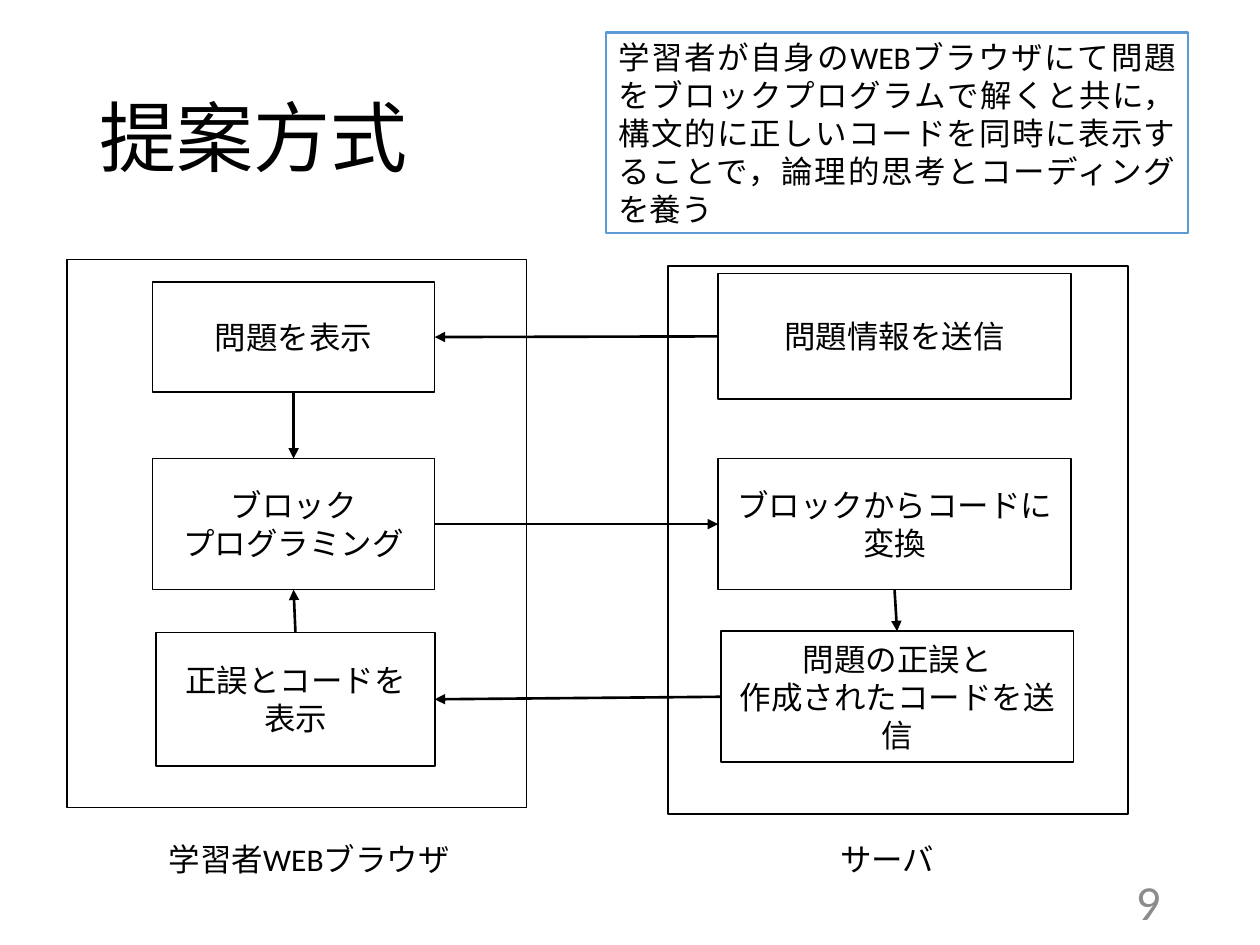
from lxml import etree
from pptx import Presentation
from pptx.dml.color import RGBColor
from pptx.enum import shapes, text
from pptx.oxml import ns
from pptx.util import Inches, Pt

COLORS = {"ink": "000000", "paper": "FFFFFF", "accent": "5B9BD5", "muted": "8C8C8C"}
TOP, LEFT, BOTTOM, RIGHT = range(4)
ALIGN = text.PP_ALIGN
ANCHOR = text.MSO_ANCHOR


def color(name):
    return RGBColor.from_string(COLORS[name])


def write(holder, lines, size=18, ink="ink", align=ALIGN.LEFT, spacing=1.0, **frame_format):
    frame = holder.text_frame
    for name, value in {"word_wrap": True, **frame_format}.items():
        setattr(frame, name, value)
    for index, line in enumerate(lines):
        paragraph = frame.add_paragraph() if index else frame.paragraphs[0]
        for name, value in {"alignment": align, "line_spacing": spacing}.items():
            setattr(paragraph, name, value)
        run = paragraph.add_run()
        for name, value in {"name": "Calibri", "size": Pt(size)}.items():
            setattr(run.font, name, value)
        run.text = line
        run.font.color.rgb = color(ink)


def add_label(slide, box, lines, **style):
    label = slide.shapes.add_textbox(*map(Inches, box))
    write(label, lines, **style)


def add_box(slide, box, lines=(), outline="ink", width=1, align=ALIGN.CENTER):
    frame = slide.shapes.add_shape(shapes.MSO_SHAPE.RECTANGLE, *map(Inches, box))
    frame.shadow.inherit = False
    frame.fill.solid()
    frame.fill.fore_color.rgb = color("paper")
    frame.line.color.rgb = color(outline)
    frame.line.width = Pt(width)
    write(frame, lines, align=align, vertical_anchor=ANCHOR.MIDDLE)
    return frame


def add_arrow(slide, source, source_side, target, target_side):
    arrow = slide.shapes.add_connector(shapes.MSO_CONNECTOR.STRAIGHT, 0, 0, 0, 0)
    arrow.begin_connect(source, source_side)
    arrow.end_connect(target, target_side)
    arrow.line.color.rgb = color("ink")
    arrow.line.width = Pt(1.5)
    etree.SubElement(arrow.line._get_or_add_ln(), ns.qn("a:tailEnd"), type="triangle")
    etree.SubElement(arrow._element.spPr, ns.qn("a:effectLst"))


def add_header(slide, box):
    left, top, width, height = box
    add_label(slide, box, ["提案方式"], size=44, spacing=0.9, vertical_anchor=ANCHOR.MIDDLE)
    summary = (
        "学習者が自身のWEBブラウザにて問題をブロックプログラムで解くと共に，"
        "構文的に正しいコードを同時に表示することで，論理的思考とコーディングを養う"
    )
    add_box(slide, (left + 4.12, top - 0.14, 4.62, 1.59), [summary],
            outline="accent", width=1.5, align=ALIGN.JUSTIFY)


def add_panel(slide, box, caption, caption_box, steps):
    left, top, width, height = box
    add_box(slide, box)
    dx, dy, caption_width = caption_box
    add_label(slide, (left + dx, top + dy, caption_width, 0.4), [caption])
    return [add_box(slide, (left + x, top + y, w, h), lines)
            for x, y, w, h, lines in steps]


def add_flow(slide, box):
    left, top, width, height = box
    show, program, result = add_panel(
        slide, (left, top, 3.65, height), "学習者WEBブラウザ", (0.71, 4.56, 2.62),
        [(0.68, 0.18, 2.24, 0.87, ["問題を表示"]),
         (0.68, 1.58, 2.24, 1.04, ["ブロック", "プログラミング"]),
         (0.71, 2.96, 2.21, 1.06, ["正誤とコードを", "表示"])])
    send, convert, reply = add_panel(
        slide, (left + width - 3.65, top + 0.05, 3.65, height), "サーバ", (1.27, 4.51, 1.05),
        [(0.4, 0.06, 2.8, 1, ["問題情報を送信"]),
         (0.4, 1.53, 2.8, 1.04, ["ブロックからコードに", "変換"]),
         (0.42, 2.9, 2.8, 1.04, ["問題の正誤と", "作成されたコードを送信"])])
    for link in [
        (send, LEFT, show, RIGHT),
        (show, BOTTOM, program, TOP),
        (program, RIGHT, convert, LEFT),
        (convert, BOTTOM, reply, TOP),
        (reply, LEFT, result, RIGHT),
        (result, TOP, program, BOTTOM),
    ]:
        add_arrow(slide, *link)


def add_page_number(slide, box):
    add_label(slide, box, ["9"], size=28, ink="muted", align=ALIGN.RIGHT,
              vertical_anchor=ANCHOR.MIDDLE)


def main():
    deck = Presentation()
    deck.slide_width, deck.slide_height = Inches(10), Inches(7.5)
    slide = deck.slides.add_slide(deck.slide_layouts[6])
    add_header(slide, (0.69, 0.4, 8.62, 1.45))
    add_flow(slide, (0.53, 2.06, 8.42, 4.35))
    add_page_number(slide, (7.06, 6.95, 2.25, 0.4))
    deck.save("out.pptx")


if __name__ == "__main__":
    main()
